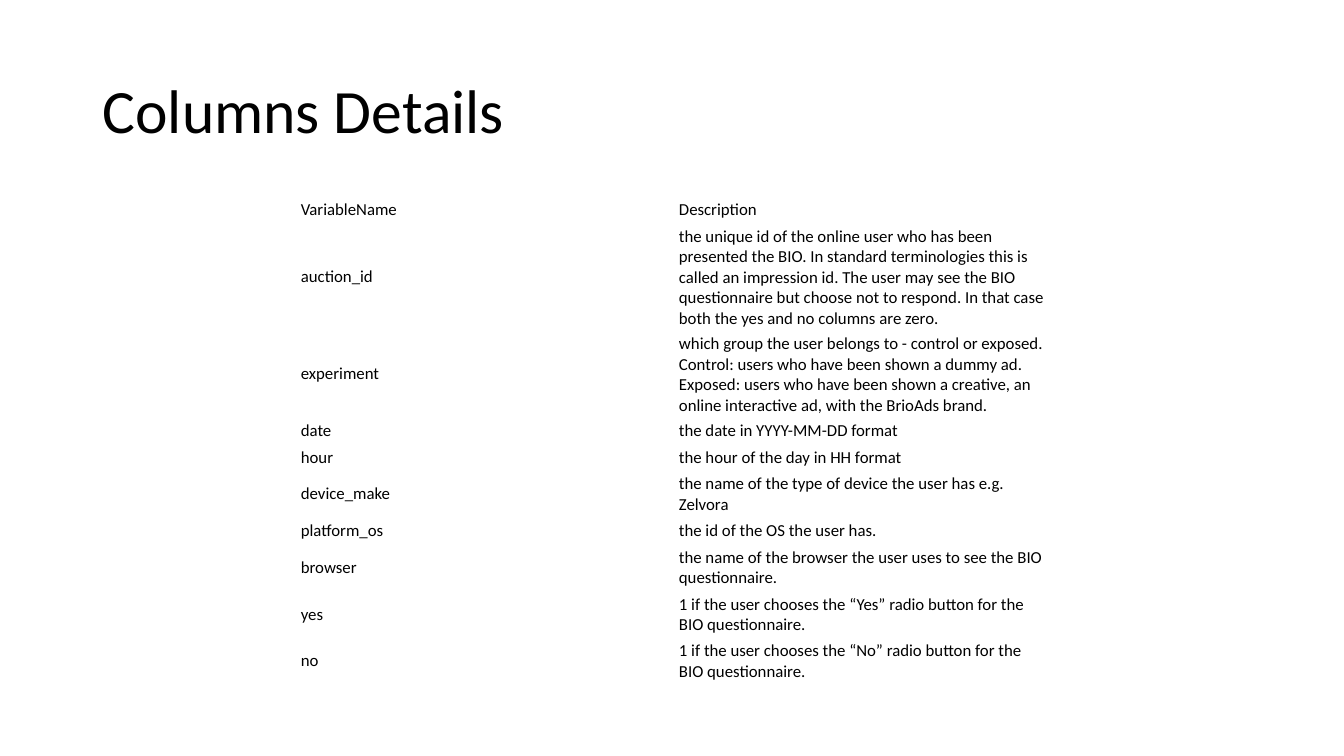
import pptx
import pptx.util
import pptx.dml.color
import pptx.enum.text

Inches = pptx.util.Inches
Pt = pptx.util.Pt
MIDDLE = pptx.enum.text.MSO_ANCHOR.MIDDLE

BLACK = pptx.dml.color.RGBColor(0x00, 0x00, 0x00)
FONT = "Calibri"
LINE_HEIGHT = Inches(0.2)
PAD_X, PAD_Y = Pt(4.6), Pt(2.3)

# Variable name, description, number of text lines in the row
VARIABLES = [
    ("VariableName", "Description", 1),
    ("auction_id",
     "the unique id of the online user who has been presented the BIO. "
     "In standard terminologies this is called an impression id. "
     "The user may see the BIO questionnaire but choose not to respond. "
     "In that case both the yes and no columns are zero.", 5),
    ("experiment",
     "which group the user belongs to - control or exposed. "
     "Control: users who have been shown a dummy ad. "
     "Exposed: users who have been shown a creative, an online interactive ad, "
     "with the BrioAds brand.", 4),
    ("date", "the date in YYYY-MM-DD format", 1),
    ("hour", "the hour of the day in HH format", 1),
    ("device_make", "the name of the type of device the user has e.g. Zelvora", 2),
    ("platform_os", "the id of the OS the user has.", 1),
    ("browser",
     "the name of the browser the user uses to see the BIO questionnaire.", 2),
    ("yes", "1 if the user chooses the “Yes” radio button for the BIO questionnaire.", 2),
    ("no", "1 if the user chooses the “No” radio button for the BIO questionnaire.", 2),
]


def write(p, text, size):
    p.text = text
    p.font.name = FONT
    p.font.size = Pt(size)
    p.font.color.rgb = BLACK


def add_title(s, text, left, top, width, height):
    box = s.shapes.add_textbox(Inches(left), Inches(top), Inches(width), Inches(height))
    tf = box.text_frame
    tf.word_wrap = True
    tf.vertical_anchor = MIDDLE
    p = tf.paragraphs[0]
    p.line_spacing = 0.9
    write(p, text, 44)


def fill_cell(cell, text):
    cell.fill.background()
    cell.vertical_anchor = MIDDLE
    cell.margin_left = cell.margin_right = PAD_X
    cell.margin_top = cell.margin_bottom = PAD_Y
    write(cell.text_frame.paragraphs[0], text, 12)


def add_variable_table(s, variables, left, top, width):
    """Place a two-column table whose row heights follow their line counts."""
    heights = [lines * LINE_HEIGHT + 2 * PAD_Y for *_, lines in variables]
    table = s.shapes.add_table(len(variables), 2, Inches(left), Inches(top),
                               Inches(width), sum(heights)).table
    table.first_row = False
    table.horz_banding = False
    for row, height, (name, description, _) in zip(table.rows, heights, variables):
        row.height = height
        for cell, text in zip(row.cells, (name, description)):
            fill_cell(cell, text)


def main():
    prs = pptx.Presentation()
    prs.slide_width = Inches(13.33)
    prs.slide_height = Inches(7.5)
    s = prs.slides.add_slide(prs.slide_layouts[6])
    add_title(s, "Columns Details", 0.92, 0.4, 11.5, 1.45)
    add_variable_table(s, VARIABLES, 2.92, 1.95, 7.5)
    prs.save("out.pptx")


if __name__ == "__main__":
    main()
